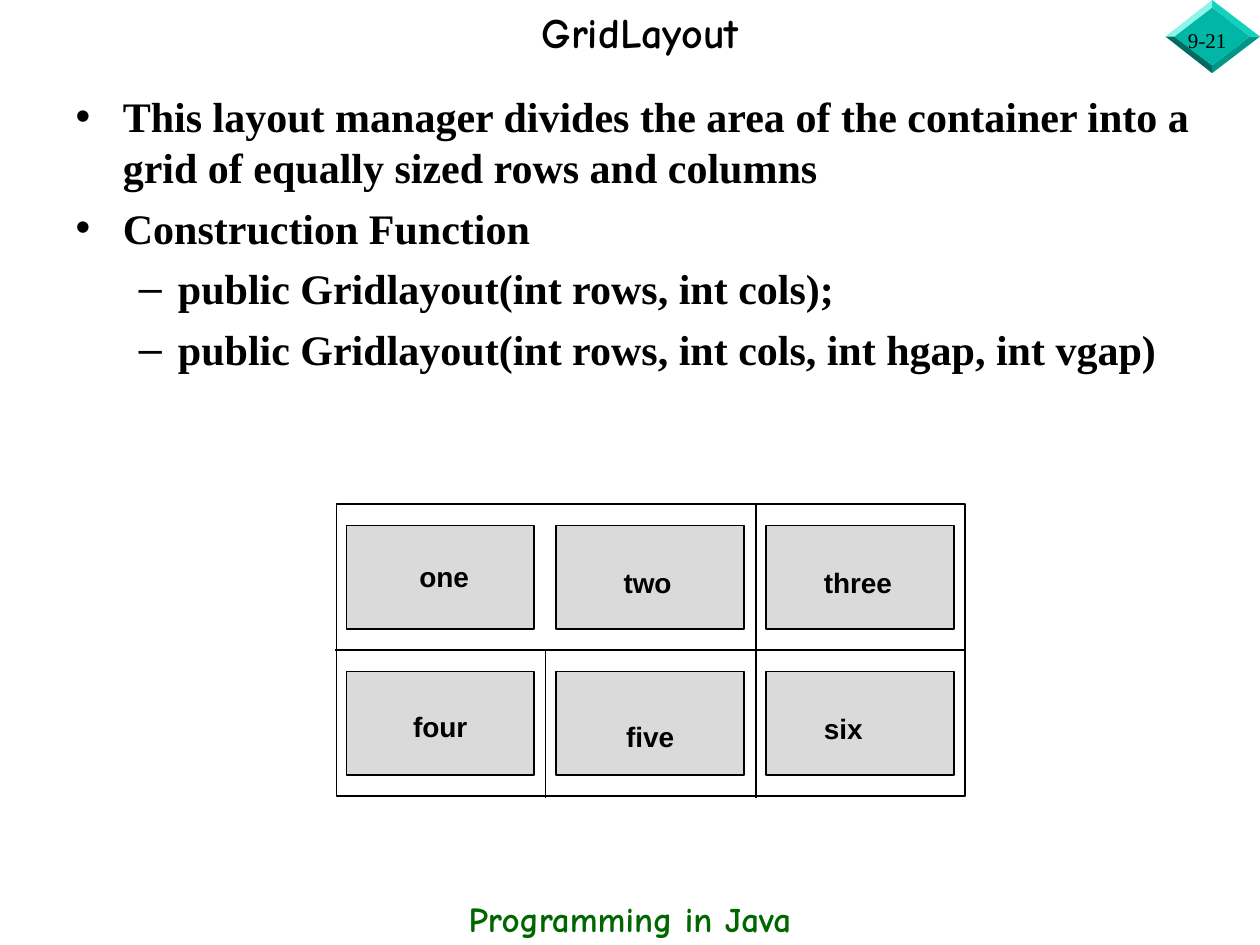
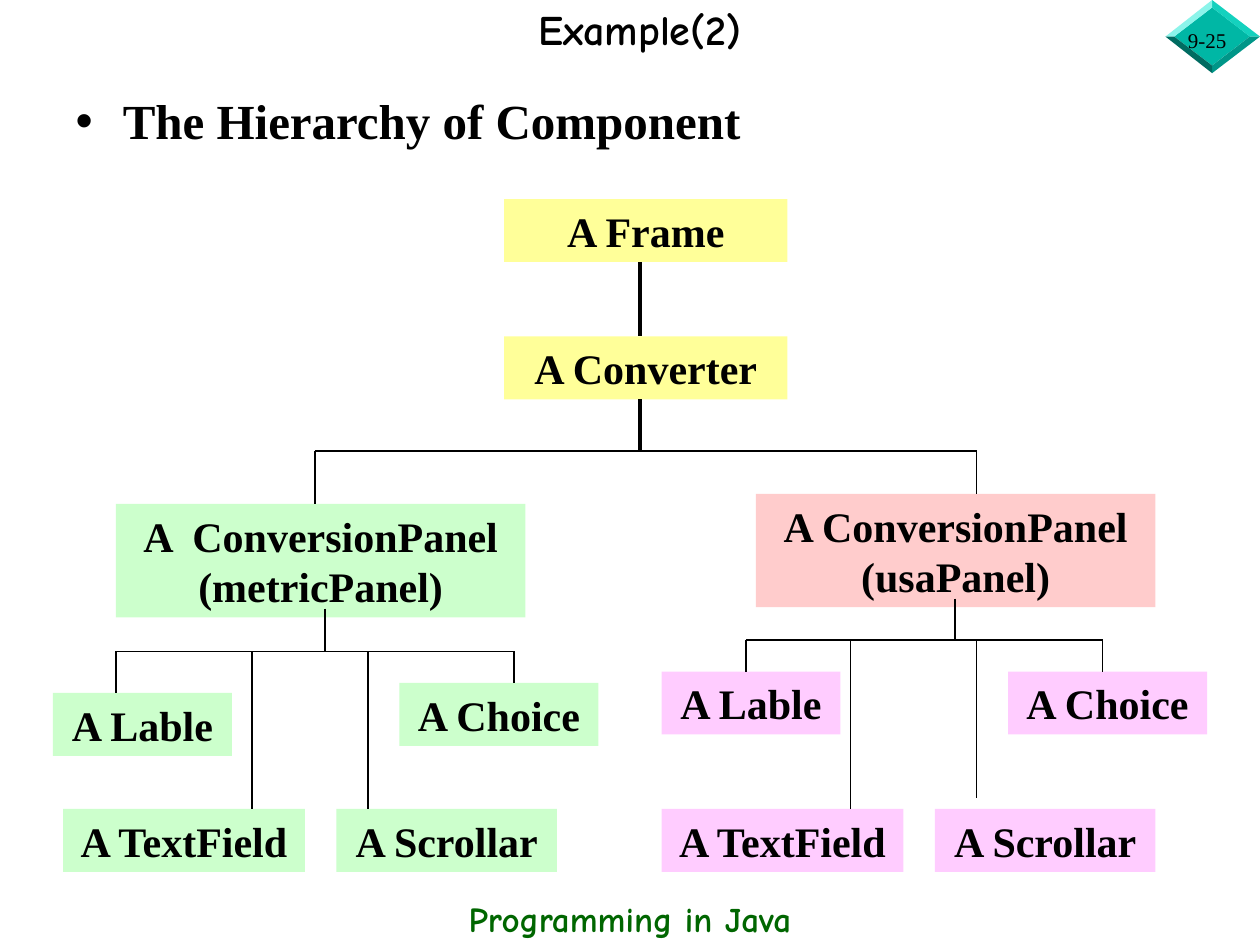
from lxml.etree import SubElement
from pptx import Presentation
from pptx.dml.color import RGBColor
from pptx.enum.shapes import MSO_CONNECTOR, MSO_SHAPE
from pptx.enum.text import MSO_ANCHOR, MSO_AUTO_SIZE, PP_ALIGN
from pptx.oxml.ns import qn
from pptx.util import Inches, Pt

COLORS = {
    "ink": "000000", "footer": "006600", "button": "DADADA",
    "top": "FFFF99", "metric": "CCFFCC", "usa": "FFCCCC", "usa_part": "FFCCFF",
    "gem_face": "00B7A5", "gem_upper_right": "14D1BE", "gem_upper_left": "8CF4EA",
    "gem_lower_right": "009688", "gem_lower_left": "006B61",
}
SERIF, TITLE_FONT, LABEL_FONT = "Times New Roman", "Comic Neue", "Arial"

# Facets of the page-number gem, in hundredths of an inch
GEM_FACETS = {
    "gem_face": [(962, 6), (932, 29), (962, 52), (992, 29)],
    "gem_upper_right": [(962, 6), (962, 0), (1000, 29), (992, 29)],
    "gem_upper_left": [(962, 0), (962, 6), (932, 29), (925, 29)],
    "gem_lower_right": [(992, 29), (1000, 29), (962, 58), (962, 52)],
    "gem_lower_left": [(932, 29), (962, 52), (962, 58), (925, 29)],
}


def write(frame, lines, size, font=SERIF, color="ink", bold=True, align=None, gap=0):
    frame.text = "\n".join(lines)
    frame.auto_size = MSO_AUTO_SIZE.NONE
    for number, paragraph in enumerate(frame.paragraphs):
        paragraph.alignment = align
        paragraph.space_before = Pt(gap if number else 0)
        for run in paragraph.runs:
            run.font.size, run.font.name, run.font.bold = Pt(size), font, bold
            run.font.color.rgb = RGBColor.from_string(COLORS[color])


def draw_line(slide, x1, y1, x2, y2, width):
    line = slide.shapes.add_connector(
        MSO_CONNECTOR.STRAIGHT, Inches(x1), Inches(y1), Inches(x2), Inches(y2))
    line.line.color.rgb = RGBColor.from_string(COLORS["ink"])
    line.line.width = Pt(width)
    SubElement(line._element.spPr, qn("a:effectLst"))


prs = Presentation()
prs.slide_width, prs.slide_height = Inches(10), Inches(7.5)

# Shared parts: title, list, gem with page number, footer
pages = [
    ("GridLayout", "9-21", 24, 2.75, 1.0, [
        (0, "This layout manager divides the area of the container into a "
            "grid of equally sized rows and columns"),
        (0, "Construction Function"),
        (1, "public Gridlayout(int rows, int cols);"),
        (1, "public Gridlayout(int rows, int cols, int hgap, int vgap)"),
    ]),
    ("Example(2)", "9-25", 28, 6.33, 0.9, [(0, "The Hierarchy of Component")]),
]
for heading, page_number, list_size, list_height, heading_spacing, points in pages:
    slide = prs.slides.add_slide(prs.slide_layouts[1])
    title, body = slide.shapes.title, slide.placeholders[1]
    title.left, title.top, title.width, title.height = (
        Inches(0.83), Inches(0), Inches(8.5), Inches(0.5))
    write(title.text_frame, [heading], 24, TITLE_FONT, align=PP_ALIGN.CENTER)
    title.text_frame.vertical_anchor = MSO_ANCHOR.MIDDLE
    title.text_frame.paragraphs[0].line_spacing = heading_spacing

    body.left, body.top, body.width, body.height = (
        Inches(0.5), Inches(0.67), Inches(9.17), Inches(list_height))
    write(body.text_frame, [text for _, text in points], list_size, gap=6)
    for paragraph, (level, _) in zip(body.text_frame.paragraphs, points):
        paragraph.level = level

    for facet_color, corners in GEM_FACETS.items():
        outline = slide.shapes.build_freeform(*corners[0], scale=Inches(0.01))
        outline.add_line_segments(corners[1:], close=True)
        facet = outline.convert_to_shape()
        facet.fill.solid()
        facet.fill.fore_color.rgb = RGBColor.from_string(COLORS[facet_color])
        facet.line.fill.background()
        facet.shadow.inherit = False

    number_box = slide.shapes.add_textbox(
        Inches(9.33), Inches(0.17), Inches(0.67), Inches(0.3))
    write(number_box.text_frame, [page_number], 12, bold=False)
    footer = slide.shapes.add_textbox(Inches(0), Inches(7.07), Inches(10), Inches(0.44))
    write(footer.text_frame, ["Programming in Java"], 20, TITLE_FONT, "footer",
          align=PP_ALIGN.CENTER)
    number_box.text_frame.word_wrap = footer.text_frame.word_wrap = True

grid_slide, tree_slide = prs.slides

# Slide 1: container frame and its 3 by 2 buttons
cells = [(2.75 + 1.665 * column, 4.17 + 1.16 * row, 1.49, 0.82)
         for row in range(2) for column in range(3)]
for left, top, width, height in cells + [(2.67, 4, 4.99, 2.32)]:
    cell = grid_slide.shapes.add_shape(
        MSO_SHAPE.RECTANGLE, Inches(left), Inches(top), Inches(width), Inches(height))
    if width < 2:
        cell.fill.solid()
        cell.fill.fore_color.rgb = RGBColor.from_string(COLORS["button"])
    else:
        cell.fill.background()
    cell.line.color.rgb = RGBColor.from_string(COLORS["ink"])
    cell.line.width = Pt(1)
    cell.shadow.inherit = False

for divider in [(4.33, 5.17, 4.33, 6.33), (6, 4, 6, 6.33), (2.66, 5.16, 7.66, 5.16)]:
    draw_line(grid_slide, *divider, 1)

for word, left, top, width in [
    ("one", 3.23, 4.39, 0.59), ("two", 4.85, 4.44, 0.58), ("three", 6.44, 4.44, 0.74),
    ("four", 3.18, 5.58, 0.63), ("five", 4.87, 5.66, 0.58), ("six", 6.44, 5.6, 0.51),
]:
    label = grid_slide.shapes.add_textbox(
        Inches(left), Inches(top), Inches(width), Inches(0.36))
    write(label.text_frame, [word], 16, LABEL_FONT)
    label.text_frame.word_wrap = False

# Slide 2: component boxes
components = [
    ("A Frame", "top", 4, 1.58, 2.25, 0.5),
    ("A Converter", "top", 4, 2.67, 2.25, 0.5),
    ("A  ConversionPanel (metricPanel)", "metric", 0.92, 4, 3.25, 0.9),
    ("A ConversionPanel (usaPanel)", "usa", 6, 3.92, 3.17, 0.9),
]
for part_color, lable, text_field, scrollar, choice in [
    ("metric", (0.42, 5.5), (0.5, 6.42), (2.67, 6.42), (3.17, 5.42)),
    ("usa_part", (5.25, 5.33), (5.25, 6.42), (7.42, 6.42), (8, 5.33)),
]:
    components += [
        ("A Lable", part_color, *lable, 1.42, 0.5),
        ("A TextField", part_color, *text_field, 1.92, 0.5),
        ("A Scrollar", part_color, *scrollar, 1.75, 0.5),
        ("A Choice", part_color, *choice, 1.58, 0.5),
    ]
for name, color, left, top, width, height in components:
    component = tree_slide.shapes.add_shape(
        MSO_SHAPE.RECTANGLE, Inches(left), Inches(top), Inches(width), Inches(height))
    component.fill.solid()
    component.fill.fore_color.rgb = RGBColor.from_string(COLORS[color])
    component.line.fill.background()
    component.shadow.inherit = False
    write(component.text_frame, [name], 24, align=PP_ALIGN.CENTER)
    component.text_frame.word_wrap = True
    component.text_frame.vertical_anchor = MSO_ANCHOR.TOP

# Slide 2: trunk, then each branch as a stem, a bar and its drops
draw_line(tree_slide, 5.08, 2.08, 5.08, 2.67, 2)
for stem_x, stem_top, stem_width, bar_y, drops in [
    (5.08, 3.17, 2, 3.58, [(2.5, 4), (7.75, 3.92)]),
    (2.58, 4.83, 0.75, 5.17, [(0.92, 5.5), (2, 6.42), (2.92, 6.42), (4.08, 5.42)]),
    (7.58, 4.75, 0.75, 5.08, [(5.92, 5.33), (6.75, 6.42), (7.75, 6.33), (8.75, 5.33)]),
]:
    draw_line(tree_slide, stem_x, stem_top, stem_x, bar_y, stem_width)
    draw_line(tree_slide, drops[0][0], bar_y, drops[-1][0], bar_y, 0.75)
    for drop_x, drop_bottom in drops:
        draw_line(tree_slide, drop_x, bar_y, drop_x, drop_bottom, 0.75)

prs.save("out.pptx")
